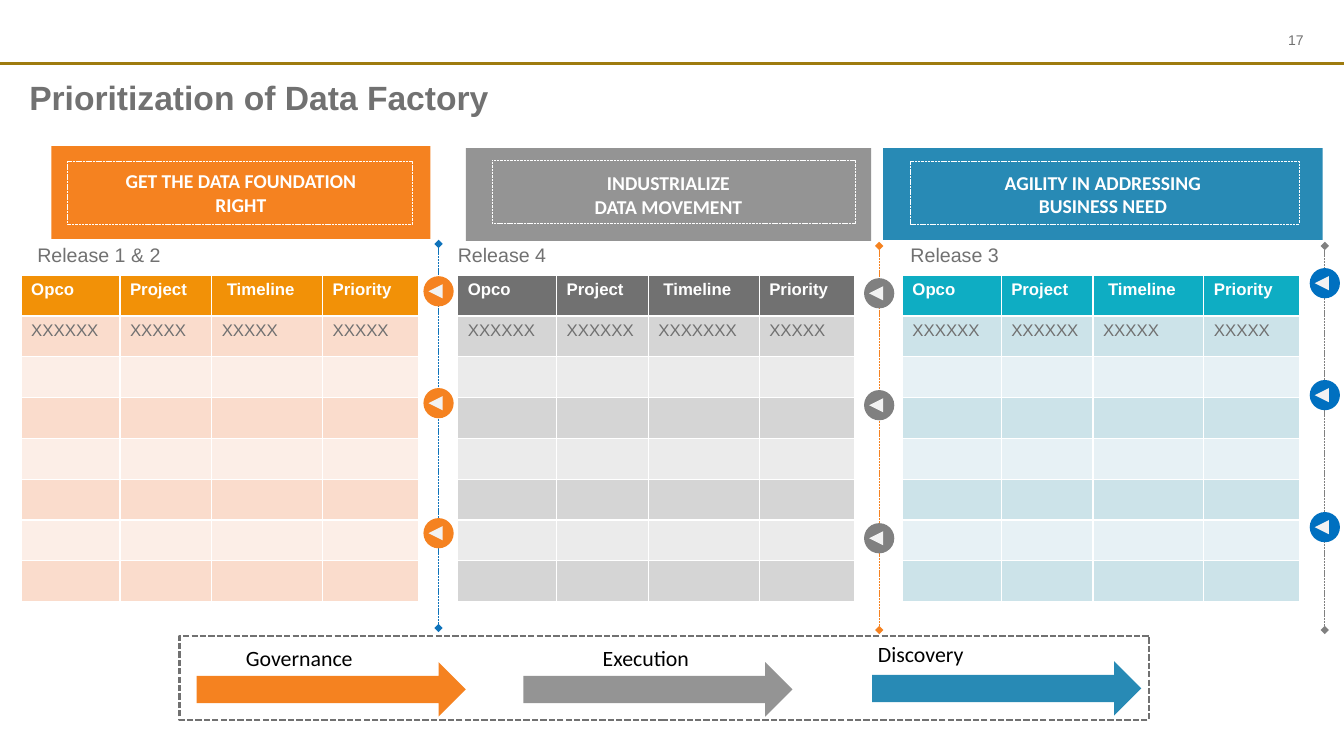
from dataclasses import dataclass

from lxml.etree import SubElement
from pptx import Presentation
from pptx.dml.color import RGBColor
from pptx.enum.dml import MSO_LINE
from pptx.enum.shapes import MSO_CONNECTOR, MSO_SHAPE
from pptx.enum.text import MSO_ANCHOR, MSO_AUTO_SIZE, PP_ALIGN
from pptx.oxml.ns import qn
from pptx.util import Inches, Pt


@dataclass(frozen=True)
class Theme:
    heading_font: str = "Arial"
    label_font: str = "Calibri"
    gray: str = "717171"
    white: str = "FFFFFF"
    black: str = "000000"
    pointer: str = "F2F2F2"
    rule: str = "9E7B0F"
    title_size: float = 24
    band_size: float = 14
    stage_size: float = 15.6
    release_size: float = 14
    table_size: float = 12
    number_size: float = 10


@dataclass(frozen=True)
class Box:
    left: float
    top: float
    width: float
    height: float

    def lengths(self) -> tuple:
        return tuple(Inches(v) for v in (self.left, self.top, self.width, self.height))


@dataclass(frozen=True)
class Release:
    label: str
    label_box: Box
    goal: str
    band: Box
    frame: Box
    color: str
    table_left: float
    header_fill: str
    row_fills: tuple[str, str]
    samples: tuple[str, ...]
    spine_x: float
    spine_top: float
    spine_color: str
    marker_color: str
    marker_tops: tuple[float, ...]
    stage: str
    stage_box: Box
    arrow: Box


THEME = Theme()
HEADERS = ("Opco", "Project", "Timeline", "Priority")
COLUMN_WIDTHS = (0.98, 0.91, 1.1, 0.95)
TABLE_TOP, TABLE_HEIGHT, ROW_COUNT = 2.73, 3.24, 8
SPINE_LENGTH = 3.81
MARKER_SIZE, POINTER_SIZE = 0.3, 0.14

RELEASES = (
    Release("Release 1 & 2", Box(0.37, 2.41, 1.23, 0.24),
            "GET THE DATA FOUNDATION\nRIGHT",
            Box(0.51, 1.45, 3.76, 0.92), Box(0.67, 1.6, 3.42, 0.62), "F58220",
            0.21, "F29107", ("FADCCC", "FCEEE7"),
            ("XXXXXX", "XXXXX", "XXXXX", "XXXXX"),
            4.35, 2.42, "0F73BB", "F58220", (2.74, 3.85, 5.14),
            "Governance", Box(2.34, 6.35, 1.28, 0.36), Box(1.95, 6.57, 2.67, 0.54)),
    Release("Release 4", Box(4.54, 2.41, 0.88, 0.24),
            "INDUSTRIALIZE\nDATA MOVEMENT",
            Box(4.62, 1.47, 4.02, 0.92), Box(4.88, 1.59, 3.6, 0.62), "949494",
            4.54, "717171", ("D5D5D5", "EBEBEB"),
            ("XXXXXX", "XXXXXX", "XXXXXXX", "XXXXX"),
            8.72, 2.44, "F58220", "808080", (2.76, 3.87, 5.19),
            "Execution", Box(5.88, 6.35, 1.07, 0.36), Box(5.19, 6.57, 2.67, 0.54)),
    Release("Release 3", Box(9.03, 2.41, 0.88, 0.24),
            "AGILITY IN ADDRESSING\nBUSINESS NEED",
            Box(8.76, 1.47, 4.36, 0.91), Box(9.03, 1.6, 3.86, 0.62), "288AB5",
            8.95, "0EADC3", ("CCE3E9", "E7F1F5"),
            ("XXXXXX", "XXXXXX", "XXXXX", "XXXXX"),
            13.14, 2.44, "808080", "0070C0", (2.66, 3.77, 5.08),
            "Discovery", Box(8.61, 6.31, 1.06, 0.36), Box(8.65, 6.56, 2.67, 0.54)),
)


def rgb(color: str) -> RGBColor:
    return RGBColor.from_string(color)


def write(frame, text: str, font: str, size: float, color: str,
          bold: bool = False, align=PP_ALIGN.LEFT) -> None:
    frame.text = text
    for paragraph in frame.paragraphs:
        paragraph.alignment = align
        for run in paragraph.runs:
            run.font.name, run.font.size = font, Pt(size)
            run.font.bold, run.font.color.rgb = bold, rgb(color)


def clear_insets(frame) -> None:
    frame.margin_left = frame.margin_top = frame.margin_right = frame.margin_bottom = 0


def add_filled(shapes, kind, box: Box, fill: str):
    shape = shapes.add_shape(kind, *box.lengths())
    shape.shadow.inherit = False
    shape.fill.solid()
    shape.fill.fore_color.rgb = rgb(fill)
    shape.line.fill.background()
    return shape


def add_dashed_frame(shapes, box: Box, color: str, width: float) -> None:
    shape = shapes.add_shape(MSO_SHAPE.RECTANGLE, *box.lengths())
    shape.shadow.inherit = False
    shape.fill.background()
    shape.line.color.rgb, shape.line.width = rgb(color), Pt(width)
    shape.line.dash_style = MSO_LINE.SQUARE_DOT


def add_line(shapes, start: tuple, end: tuple, color: str, width: float):
    line = shapes.add_connector(MSO_CONNECTOR.STRAIGHT,
                                *(Inches(v) for v in start + end))
    line.line.color.rgb, line.line.width = rgb(color), Pt(width)
    SubElement(line._element.spPr, qn("a:effectLst"))
    return line


def add_label(shapes, box: Box, text: str, font: str, size: float, color: str,
              insets: bool = False, align=PP_ALIGN.LEFT):
    frame = shapes.add_textbox(*box.lengths()).text_frame
    frame.word_wrap = False
    if not insets:
        clear_insets(frame)
    write(frame, text, font, size, color, align=align)
    return frame


def add_band(shapes, release: Release) -> None:
    band = add_filled(shapes, MSO_SHAPE.RECTANGLE, release.band, release.color)
    band.text_frame.word_wrap = False
    band.text_frame.vertical_anchor = MSO_ANCHOR.MIDDLE
    write(band.text_frame, release.goal, THEME.label_font, THEME.band_size,
          THEME.white, True, PP_ALIGN.CENTER)
    add_dashed_frame(shapes, release.frame, THEME.white, 0.25)


def add_spine(shapes, release: Release) -> None:
    x, top = release.spine_x, release.spine_top
    spine = add_line(shapes, (x, top), (x, top + SPINE_LENGTH), release.spine_color, 0.5)
    spine.line.dash_style = MSO_LINE.SQUARE_DOT
    for end in ("a:headEnd", "a:tailEnd"):
        SubElement(spine.line._ln, qn(end), type="diamond")
    for marker_top in release.marker_tops:
        marker = shapes.add_group_shape().shapes
        left = x - MARKER_SIZE / 2
        disc = Box(left, marker_top, MARKER_SIZE, MARKER_SIZE)
        pointer = Box(left + 0.05, marker_top + 0.08, POINTER_SIZE, POINTER_SIZE)
        add_filled(marker, MSO_SHAPE.OVAL, disc, release.marker_color)
        add_filled(marker, MSO_SHAPE.ISOSCELES_TRIANGLE, pointer,
                   THEME.pointer).rotation = 270


def add_release_table(shapes, release: Release) -> None:
    box = Box(release.table_left, TABLE_TOP, sum(COLUMN_WIDTHS), TABLE_HEIGHT)
    table = shapes.add_table(ROW_COUNT, len(HEADERS), *box.lengths()).table
    for column, width in zip(table.columns, COLUMN_WIDTHS):
        column.width = Inches(width)
    for index, row in enumerate(table.rows):
        fill = release.row_fills[(index + 1) % 2] if index else release.header_fill
        for cell in row.cells:
            cell.fill.solid()
            cell.fill.fore_color.rgb = rgb(fill)
    for column, (header, sample) in enumerate(zip(HEADERS, release.samples)):
        heading = table.cell(0, column)
        if header == "Timeline":
            heading.margin_left = Inches(0.15)
        write(heading.text_frame, header, THEME.heading_font, THEME.table_size,
              THEME.white, True)
        write(table.cell(1, column).text_frame, sample, THEME.heading_font,
              THEME.table_size, THEME.gray)


def main() -> None:
    deck = Presentation()
    deck.slide_width, deck.slide_height = Inches(13.33), Inches(7.5)
    slide = deck.slides.add_slide(deck.slide_layouts[5])
    shapes = slide.shapes

    # Page header and title
    add_line(shapes, (0, 0.63), (13.33, 0.63), THEME.rule, 1.5)
    number = add_label(shapes, Box(11.87, 0.29, 1.06, 0.22), "17", THEME.heading_font,
                       THEME.number_size, THEME.gray, align=PP_ALIGN.RIGHT)
    number.word_wrap = True
    number.vertical_anchor = MSO_ANCHOR.MIDDLE
    title = shapes.title
    title.left, title.top, title.width, title.height = Box(0.29, 0.76, 5.67, 0.55).lengths()
    clear_insets(title.text_frame)
    title.text_frame.auto_size = MSO_AUTO_SIZE.NONE
    title.text_frame.vertical_anchor = MSO_ANCHOR.TOP
    write(title.text_frame, "Prioritization of Data Factory", THEME.heading_font,
          THEME.title_size, THEME.gray, True)
    title.text_frame.paragraphs[0].space_before = Pt(6)

    # Release columns and their stage arrows
    for release in RELEASES:
        add_spine(shapes, release)
        add_band(shapes, release)
        add_release_table(shapes, release)
        add_label(shapes, release.label_box, release.label, THEME.heading_font,
                  THEME.release_size, THEME.gray)
        add_filled(shapes, MSO_SHAPE.RIGHT_ARROW, release.arrow, release.color)
        add_label(shapes, release.stage_box, release.stage, THEME.label_font,
                  THEME.stage_size, THEME.black, insets=True)

    # Frame around the stages
    add_dashed_frame(shapes, Box(1.78, 6.31, 9.62, 0.83), THEME.gray, 1.5)
    deck.save("out.pptx")


if __name__ == "__main__":
    main()
